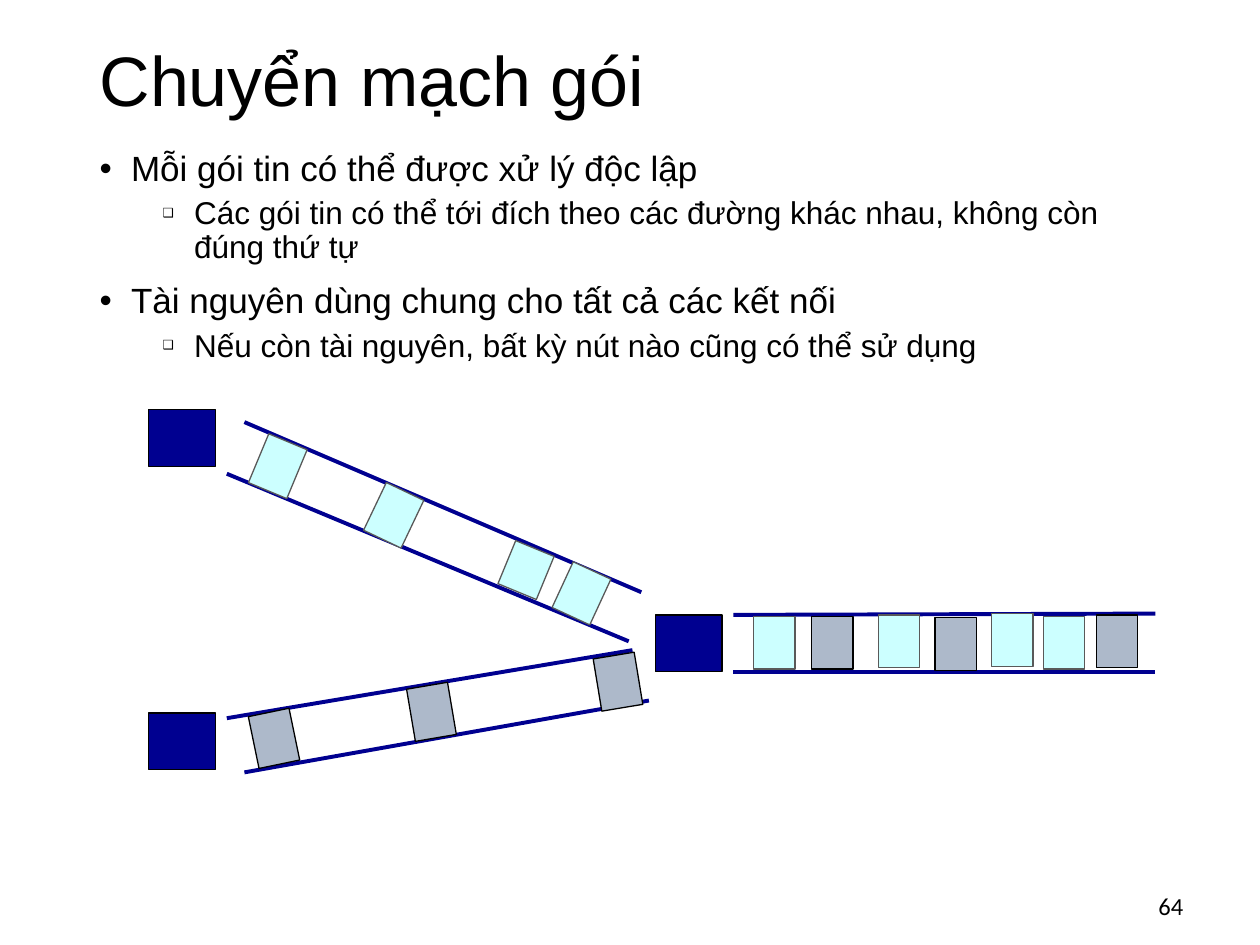
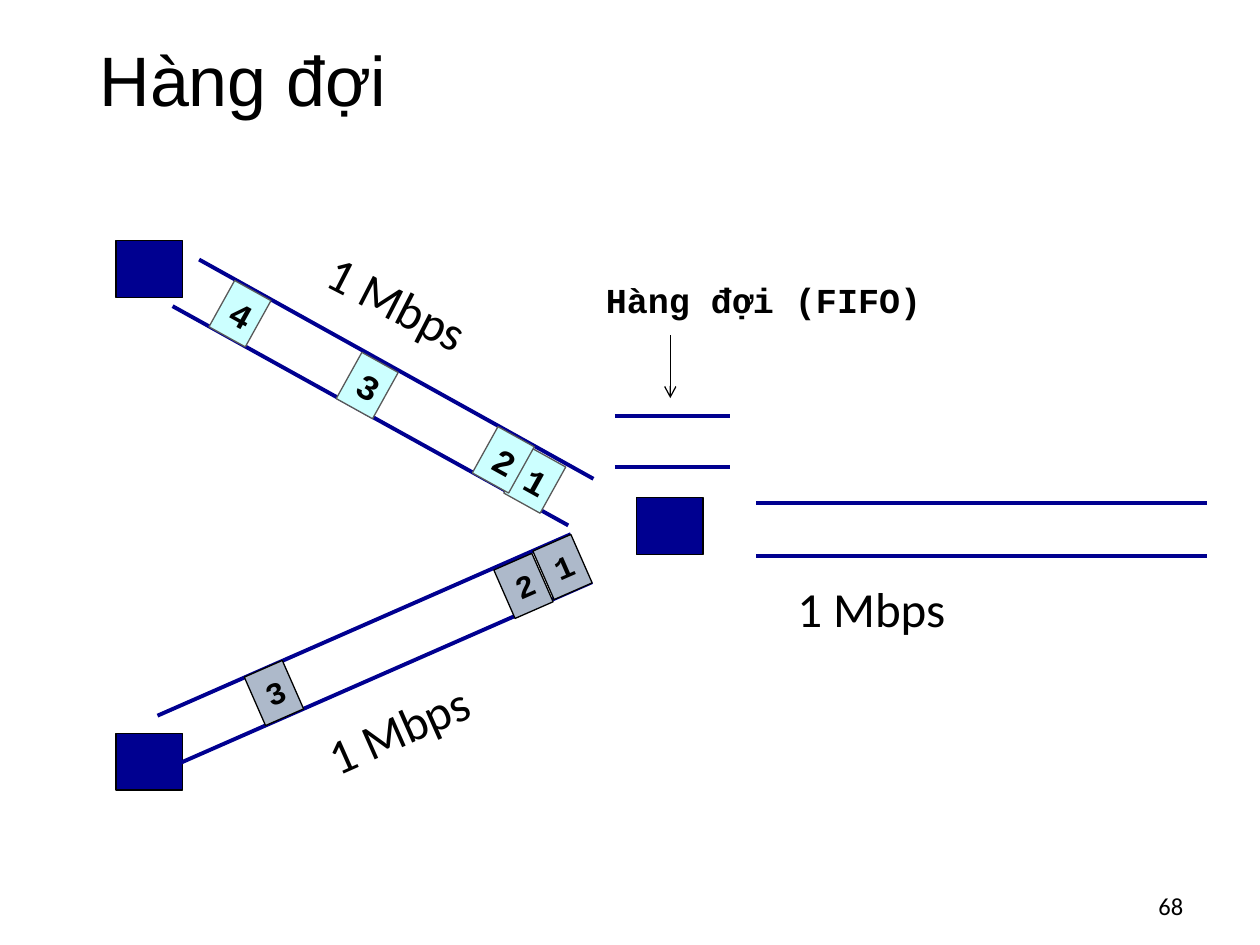
"""Build two slides on packet switching and queues."""
import pptx
import pptx.chart.data
import pptx.dml.color
import pptx.enum.shapes
import pptx.enum.text
import pptx.oxml
import pptx.oxml.ns
import pptx.util
from pptx.util import Inches

NAVY, BLACK, WHITE = "000090", "000000", "FFFFFF"
CYAN_PACKET = {"fill": "CCFFFF", "line": "595959"}
GRAY_PACKET = {"fill": "ADB9CA", "line": BLACK}
NODE_SIZE = (0.53, 0.45)
PACKET_WIDTH, PACKET_HEIGHT = 0.33, 0.42
TITLE_BOX = (0.69, 0.26, 8.62, 0.81)
BODY_BOX = (0.69, 1.15, 8.62, 5.6)
NUMBER_BOX = (8.86, 6.99, 0.63, 0.4)
LEVELS = [
    {"size": 20, "indent": 0.25, "before": 10, "bullet": "•", "percent": 100},
    {"size": 18, "indent": 0.75, "before": 5, "bullet": "❑", "percent": 40},
]

SLIDES = [
    {
        "title": "Chuyển mạch gói",
        "number": "64",
        "bullets": [
            (0, "Mỗi gói tin có thể được xử lý độc lập"),
            (1, "Các gói tin có thể tới đích theo các đường khác nhau, không còn đúng thứ tự"),
            (0, "Tài nguyên dùng chung cho tất cả các kết nối"),
            (1, "Nếu còn tài nguyên, bất kỳ nút nào cũng có thể sử dụng"),
        ],
        "nodes": [(5.2, 4.88), (1.18, 3.25), (1.18, 5.66)],
        "rails": [
            (1.94, 3.35, 5.09, 4.7), (1.8, 3.76, 4.99, 5.09),
            (1.8, 5.7, 5.02, 5.16), (1.94, 6.13, 5.15, 5.56),
            (5.82, 4.88, 9.17, 4.87), (5.82, 5.33, 9.17, 5.33),
        ],
        "packets": [
            (CYAN_PACKET, [
                ("", 4.45, 4.51, 24.8, 0.4), ("", 4.01, 4.34, 22.4, 0.37),
                ("", 2.96, 3.88, 25.5), ("", 2.04, 3.49, 22.6),
                ("", 8.28, 4.89, 0), ("", 7.87, 4.87, 0),
                ("", 6.97, 4.88, 0), ("", 5.98, 4.89, 0),
            ]),
            (GRAY_PACKET, [
                ("", 2.01, 5.65, 348.3), ("", 4.74, 5.2, 350.6), ("", 3.26, 5.44, 350.4),
                ("", 6.44, 4.89, 0), ("", 8.7, 4.88, 0), ("", 7.42, 4.9, 0),
            ]),
        ],
    },
    {
        "title": "Hàng đợi",
        "number": "68",
        "nodes": [(5.05, 3.95), (0.92, 1.91), (0.92, 5.82)],
        "rails": [
            (1.58, 2.06, 4.71, 3.8), (1.37, 2.43, 4.51, 4.17),
            (1.25, 5.68, 4.53, 4.24), (1.42, 6.06, 4.7, 4.62),
            (4.88, 3.3, 5.79, 3.3), (4.88, 3.71, 5.79, 3.71),
            (6, 3.99, 9.58, 3.99), (6, 4.41, 9.58, 4.41),
        ],
        "packets": [
            (CYAN_PACKET | {"size": 20}, [
                ("1", 4.08, 3.6, 29), ("2", 3.83, 3.44, 29),
                ("3", 2.75, 2.85, 29), ("4", 1.74, 2.28, 29),
            ]),
            (GRAY_PACKET | {"size": 18}, [
                ("3", 2.01, 5.29, 336.3), ("1", 4.3, 4.29, 336.3), ("2", 3.99, 4.44, 336.3),
            ]),
        ],
        "queue": {"label": "Hàng đợi (FIFO)", "box": (4.71, 2.16, 2.73, 0.44),
                  "arrow": (5.32, 2.66, 5.32, 3.16)},
        "rates": [("1 Mbps", 6.23, 4.54, 0), ("1 Mbps", 2.44, 2.25, 27.2),
                  ("1 Mbps", 2.45, 5.38, 336.1)],
    },
]


def color(value):
    return pptx.dml.color.RGBColor.from_string(value)


def inches(values):
    return [Inches(value) for value in values]


def write(paragraph, text, size=20, font="Arial", bold=False, align="LEFT",
          spacing=None, before=0):
    paragraph.alignment = getattr(pptx.enum.text.PP_ALIGN, align)
    paragraph.space_before = pptx.util.Pt(before)
    if spacing:
        paragraph.line_spacing = spacing
    run = paragraph.add_run()
    run.text = text
    run.font.size = pptx.util.Pt(size)
    run.font.name = font
    run.font.bold = bold
    run.font.color.rgb = color(BLACK)


def place(shape, box):
    shape.left, shape.top, shape.width, shape.height = inches(box)


def add_label(slide, box, text, rotation=0, wrap=True, grow=True, **text_format):
    shape = slide.shapes.add_textbox(*inches(box))
    shape.rotation = rotation
    frame = shape.text_frame
    frame.word_wrap = wrap
    if grow:
        frame.auto_size = pptx.enum.text.MSO_AUTO_SIZE.SHAPE_TO_FIT_TEXT
    else:
        frame.vertical_anchor = pptx.enum.text.MSO_ANCHOR.MIDDLE
    write(frame.paragraphs[0], text, **text_format)


def add_box(slide, box, fill, line, rotation=0, text="", size=20):
    shape = slide.shapes.add_shape(pptx.enum.shapes.MSO_SHAPE.RECTANGLE, *inches(box))
    shape.shadow.inherit = False
    shape.rotation = rotation
    shape.fill.solid()
    shape.fill.fore_color.rgb = color(fill)
    shape.line.color.rgb = color(line)
    shape.line.width = pptx.util.Pt(0.75)
    if text:
        shape.text_frame.word_wrap = False
        shape.text_frame.vertical_anchor = pptx.enum.text.MSO_ANCHOR.MIDDLE
        write(shape.text_frame.paragraphs[0], text, size=size, font="Courier New", bold=True)


def add_line(slide, ends, line=NAVY, width=2.25, arrow=False):
    connector = slide.shapes.add_connector(
        pptx.enum.shapes.MSO_CONNECTOR.STRAIGHT, *inches(ends))
    connector.line.color.rgb = color(line)
    connector.line.width = pptx.util.Pt(width)
    if arrow:
        add_element(connector.line._get_or_add_ln(), "a:tailEnd", type="arrow")
    add_element(connector._element.spPr, "a:effectLst")


def add_element(parent, tag, **attributes):
    element = pptx.oxml.xmlchemy.OxmlElement(tag)
    for name, value in attributes.items():
        element.set(name, value)
    parent.append(element)


def add_bullets(slide, bullets):
    body = slide.placeholders[1]
    place(body, BODY_BOX)
    frame = body.text_frame
    frame.auto_size = pptx.enum.text.MSO_AUTO_SIZE.NONE
    for index, (level, text) in enumerate(bullets):
        style = LEVELS[level]
        paragraph = frame.add_paragraph() if index else frame.paragraphs[0]
        paragraph.level = level
        properties = paragraph._p.get_or_add_pPr()
        properties.set("marL", str(Inches(style["indent"])))
        properties.set("indent", str(Inches(-0.25)))
        add_element(properties, "a:buSzPct", val=str(style["percent"] * 1000))
        add_element(properties, "a:buFont", typeface="Arial")
        add_element(properties, "a:buChar", char=style["bullet"])
        write(paragraph, text, size=style["size"], spacing=0.9,
              before=style["before"] if index else 0)


def add_slide(presentation, content):
    layout = presentation.slide_layouts[1 if "bullets" in content else 5]
    slide = presentation.slides.add_slide(layout)
    slide.background.fill.solid()
    slide.background.fill.fore_color.rgb = color(WHITE)
    title = slide.shapes.title
    place(title, TITLE_BOX)
    title.text_frame.vertical_anchor = pptx.enum.text.MSO_ANCHOR.MIDDLE
    title.text_frame.auto_size = pptx.enum.text.MSO_AUTO_SIZE.NONE
    write(title.text_frame.paragraphs[0], content["title"], size=40, spacing=0.9)
    if "bullets" in content:
        add_bullets(slide, content["bullets"])
    add_label(slide, NUMBER_BOX, content["number"], grow=False,
              size=14, font="Calibri", align="RIGHT")
    for corner in content["nodes"]:
        add_box(slide, corner + NODE_SIZE, NAVY, BLACK)
    for ends in content["rails"]:
        add_line(slide, ends)
    for style, packets in content["packets"]:
        for text, left, top, rotation, *height in packets:
            box = (left, top, PACKET_WIDTH, *(height or [PACKET_HEIGHT]))
            add_box(slide, box, rotation=rotation, text=text, **style)
    if "queue" in content:
        queue = content["queue"]
        add_label(slide, queue["box"], queue["label"], wrap=False,
                  size=20, font="Courier New", bold=True)
        add_line(slide, queue["arrow"], line=BLACK, width=0.75, arrow=True)
    for text, left, top, rotation in content.get("rates", []):
        add_label(slide, (left, top, 1.96, 0.57), text, rotation=rotation,
                  size=28, font="Calibri")


def main():
    presentation = pptx.Presentation()
    presentation.slide_width, presentation.slide_height = inches((10, 7.5))
    for content in SLIDES:
        add_slide(presentation, content)
    presentation.save("out.pptx")


if __name__ == "__main__":
    main()
